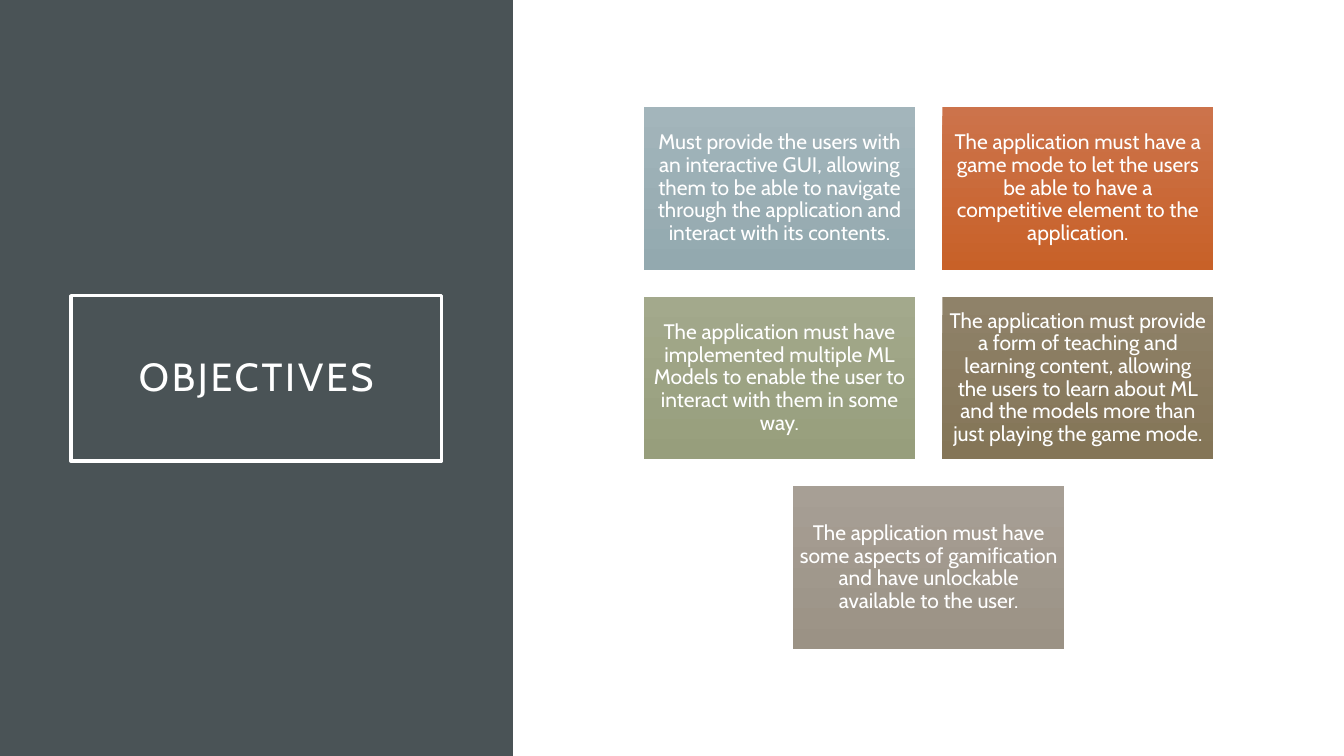
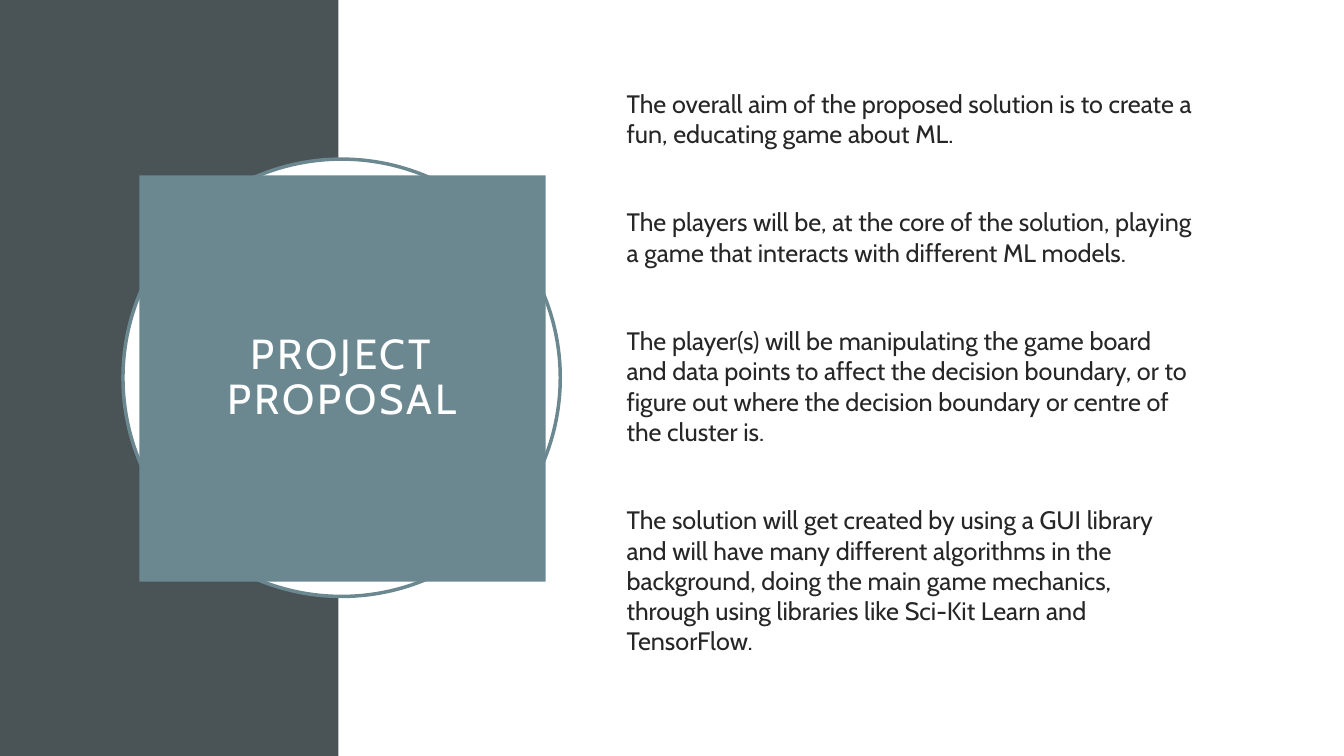
"""Build the objectives and project proposal slides."""
from lxml import etree
from pptx import Presentation
from pptx.dml.color import RGBColor
from pptx.enum.shapes import MSO_SHAPE
from pptx.enum.text import MSO_ANCHOR, MSO_AUTO_SIZE, PP_ALIGN
from pptx.oxml.ns import qn
from pptx.util import Cm, Pt

RECT, OVAL = MSO_SHAPE.RECTANGLE, MSO_SHAPE.OVAL
MIDDLE, CENTER, LEFT = MSO_ANCHOR.MIDDLE, PP_ALIGN.CENTER, PP_ALIGN.LEFT
NO_FIT = MSO_AUTO_SIZE.NONE
FONT = "Cabin"
COLORS = {"band": "4A5356", "teal": "6B8891", "white": "FFFFFF", "text": "262626"}
COLORS = {name: RGBColor.from_string(value) for name, value in COLORS.items()}


def add_shape(s, kind, left, top, width, height, fill):
    sp = s.shapes.add_shape(kind, Cm(left), Cm(top), Cm(width), Cm(height))
    sp.shadow.inherit = False
    sp.line.fill.background()
    if fill:
        sp.fill.solid()
        sp.fill.fore_color.rgb = COLORS[fill]
    return sp


def set_text(sp, texts, size, color, align, spacing, inset):
    tf = sp.text_frame
    tf.text = "\n".join(texts)
    tf.word_wrap = True
    tf.auto_size = NO_FIT
    tf.vertical_anchor = MIDDLE
    tf.margin_left = tf.margin_right = Cm(inset[0])
    tf.margin_top = tf.margin_bottom = Cm(inset[1])
    for p in tf.paragraphs:
        p.alignment = align
        p.line_spacing = spacing
        p.space_before = Pt(0)
        p.font.size = Pt(size)
        p.font.name = FONT
        p.font.bold = False
        p.font.color.rgb = COLORS[color]


prs = Presentation()
prs.slide_width, prs.slide_height = Cm(33.87), Cm(19.05)

slides = []
for layout, band_width, title, size, box in (
    (5, 12.93, "OBJECTIVES", 28, (1.79, 7.45, 9.34, 4.17)),
    (1, 8.53, "PROJECT PROPOSAL", 30, (3.51, 4.42, 10.24, 10.24)),
):
    s = prs.slides.add_slide(prs.slide_layouts[layout])
    band = add_shape(s, RECT, 0, 0, band_width, 19.05, "band")
    s.shapes._spTree.insert(2, band._element)
    sp = s.shapes.title
    sp.left, sp.top, sp.width, sp.height = [Cm(v) for v in box]
    set_text(sp, [title], size, "white", CENTER, 0.9, (0.51, 0.51))
    sp.text_frame.paragraphs[0].font._element.set("spc", "200")
    slides.append(s)
objectives, proposal = slides

frame = objectives.shapes.title
frame.line.color.rgb = COLORS["white"]
frame.line.width = Pt(2.5)

CARD_W, CARD_H, STEP_X, STEP_Y = 6.83, 4.1, 7.52, 4.78
CARDS = [
    ("Must provide the users with an interactive GUI, allowing them to be able "
     "to navigate through the application and interact with its contents.",
     "A3B5BB", "93A9AF"),
    ("The application must have a game mode to let the users be able to have a "
     "competitive element to the application.", "CC734B", "C86128"),
    ("The application must have implemented multiple ML Models to enable the "
     "user to interact with them in some way.", "A3A98C", "979E7C"),
    ("The application must provide a form of teaching and learning content, "
     "allowing the users to learn about ML and the models more than just "
     "playing the game mode.", "8F8269", "847557"),
    ("The application must have some aspects of gamification and have "
     "unlockable available to the user.", "A79F95", "9B9285"),
]
for i, (text, *shades) in enumerate(CARDS):
    row, col = divmod(i, 2)
    if i == len(CARDS) - 1:
        col = 0.5
    sp = add_shape(objectives, RECT, 16.23 + col * STEP_X, 2.7 + row * STEP_Y,
                   CARD_W, CARD_H, None)
    sp.fill.gradient()
    sp.fill.gradient_angle = 270
    for stop, shade in zip(sp.fill.gradient_stops, shades):
        stop.color.rgb = RGBColor.from_string(shade)
    set_text(sp, [text], 15, "white", CENTER, 0.9, (0.15, 0.15))

ring = add_shape(proposal, OVAL, 3.1, 4.01, 11.02, 11.02, "white")
ring.line.color.rgb = COLORS["teal"]
ring.line.width = Pt(2.5)
title = proposal.shapes.title
title.fill.solid()
title.fill.fore_color.rgb = COLORS["teal"]
proposal.shapes._spTree.append(title._element)

body = proposal.placeholders[1]
body.left, body.top, body.width, body.height = Cm(15.54), Cm(2.26), Cm(14.78), Cm(14.22)
set_text(body, [
    "The overall aim of the proposed solution is to create a fun, educating game about ML.",
    "The players will be, at the core of the solution, playing a game that interacts "
    "with different ML models.",
    "The player(s) will be manipulating the game board and data points to affect the "
    "decision boundary, or to figure out where the decision boundary or centre of the "
    "cluster is.",
    "The solution will get created by using a GUI library and will have many different "
    "algorithms in the background, doing the main game mechanics, through using "
    "libraries like Sci-Kit Learn and TensorFlow.",
], 18, "text", LEFT, 1.0, (0.25, 0.13))
for i, p in enumerate(body.text_frame.paragraphs):
    p.space_before = Pt(41.6 if i else 0)
    pPr = p._p.get_or_add_pPr()
    pPr.set("marL", "0")
    pPr.set("indent", "0")
    pPr.find(qn("a:defRPr")).addprevious(etree.Element(qn("a:buNone")))

prs.save("out.pptx")
